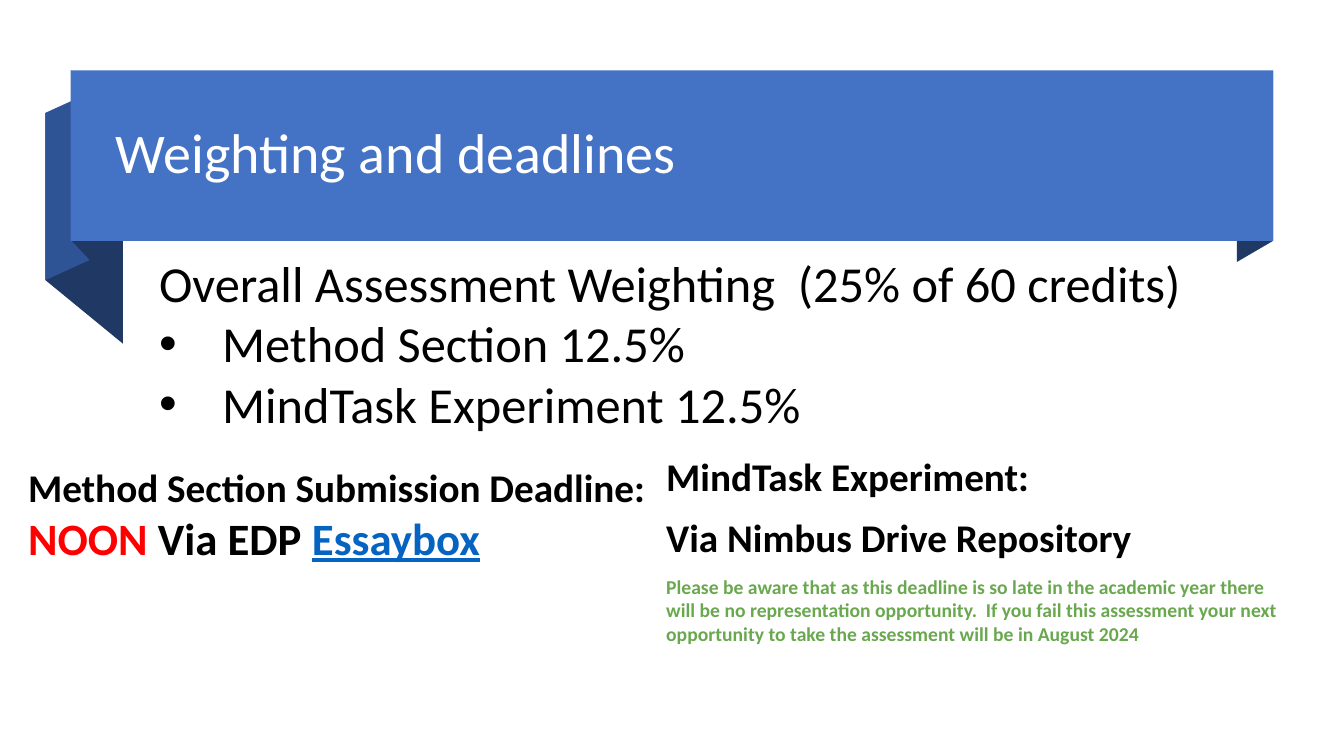
from lxml import etree
from pptx import Presentation
from pptx import util as u
from pptx.dml.color import RGBColor
from pptx.enum import shapes, text
from pptx.oxml.ns import qn

COLORS = {
    "banner": "4472C4", "fold": "2F5496", "fold_dark": "1F3864",
    "white": "FFFFFF", "black": "000000", "red": "FF0000",
    "link": "0563C1", "green": "6AA84F",
}
FONT = "Calibri"

prs = Presentation()
prs.slide_width, prs.slide_height = u.Inches(13.33), u.Inches(7.5)
COL, ROW = prs.slide_width / 100, prs.slide_height / 100


def to_grid(box):
    return [round(n * unit) for n, unit in zip(box, (COL, ROW, COL, ROW))]


def paint(sp, color):
    sp.shadow.inherit = False
    sp.fill.solid()
    sp.fill.fore_color.rgb = RGBColor.from_string(COLORS[color])
    sp.line.fill.background()


def add_fold(slide, box, x1, y1, x2, y2, drop, color):
    corners = [(x2, y2 + drop), (x1, y1 + drop), (x1, y1), (x2, y2)]
    points = [(round((box[0] + x) * COL), round((box[1] + y) * ROW)) for x, y in corners]
    builder = slide.shapes.build_freeform(*points[0])
    builder.add_line_segments(points[1:], close=True)
    paint(builder.convert_to_shape(), color)


def add_text(slide, box, paragraphs, bold=False, after=0):
    tf = slide.shapes.add_textbox(*to_grid(box)).text_frame
    tf.word_wrap = True
    for i, runs in enumerate(paragraphs):
        p = tf.add_paragraph() if i else tf.paragraphs[0]
        p.space_after = u.Pt(after)
        for words, size, color in runs:
            r = p.add_run()
            r.text = words
            r.font.name, r.font.size, r.font.bold = FONT, u.Pt(size), bold
            r.font.color.rgb = RGBColor.from_string(COLORS[color])
    return tf


def add_bullet(p, indent):
    pPr = p._p.get_or_add_pPr()
    pPr.set("marL", str(indent))
    pPr.set("indent", str(-indent))
    etree.SubElement(pPr, qn("a:buFont")).set("typeface", "Arial")
    etree.SubElement(pPr, qn("a:buChar")).set("char", "•")


def add_banner(slide, box):
    left, top, width, height = box
    add_fold(slide, box, -1.87, 5.6, 3.9, 14, 22.13, "fold_dark")
    add_fold(slide, box, -1.87, 5.6, 1.43, 2.93, 22.13, "fold")
    add_fold(slide, box, 0.08, 0, 1.43, 2.53, height, "fold_dark")
    add_fold(slide, box, width - 2.7, 2.8, width, 0, height, "fold_dark")
    paint(slide.shapes.add_shape(shapes.MSO_SHAPE.RECTANGLE, *to_grid(box)), "banner")
    title_box = (left + 2.63, top + 2.4, width - 5.25, height - 4.8)
    tf = add_text(slide, title_box, [[("Weighting and deadlines", 40, "white")]])
    tf.vertical_anchor = text.MSO_ANCHOR.MIDDLE
    tf.paragraphs[0].line_spacing = 0.9


def add_weighting(slide, box):
    lines = ["Overall Assessment Weighting  (25% of 60 credits)",
             "Method Section 12.5%", "MindTask Experiment 12.5%"]
    tf = add_text(slide, box, [[(line, 36, "black")] for line in lines])
    for p in tf.paragraphs[1:]:
        add_bullet(p, round(4.69 * COL))


def add_method_deadline(slide, box):
    tf = add_text(slide, box, [
        [("Method Section Submission Deadline:", 28, "black")],
        [("NOON ", 32, "red"), ("Via EDP ", 32, "black"), ("Essaybox", 32, "link")],
    ], bold=True)
    tf.paragraphs[1].runs[-1].font.underline = True


def add_experiment_deadline(slide, box):
    add_text(slide, box, [
        [("MindTask Experiment:", 28, "black")],
        [("Via Nimbus Drive Repository", 28, "black")],
        [("Please be aware that as this deadline is so late in the academic year "
          "there will be no representation opportunity.  If you fail this assessment "
          "your next opportunity to take the assessment will be in August 2024",
          14, "green")],
    ], bold=True, after=10)


def main():
    slide = prs.slides.add_slide(prs.slide_layouts[6])
    add_banner(slide, (5.25, 9.33, 89.48, 22.53))
    add_weighting(slide, (11.1, 32.67, 79.8, 25.6))
    add_method_deadline(slide, (1.35, 60.67, 47.55, 14.8))
    add_experiment_deadline(slide, (48.83, 59.2, 47.18, 27.07))
    prs.save("out.pptx")


if __name__ == "__main__":
    main()
